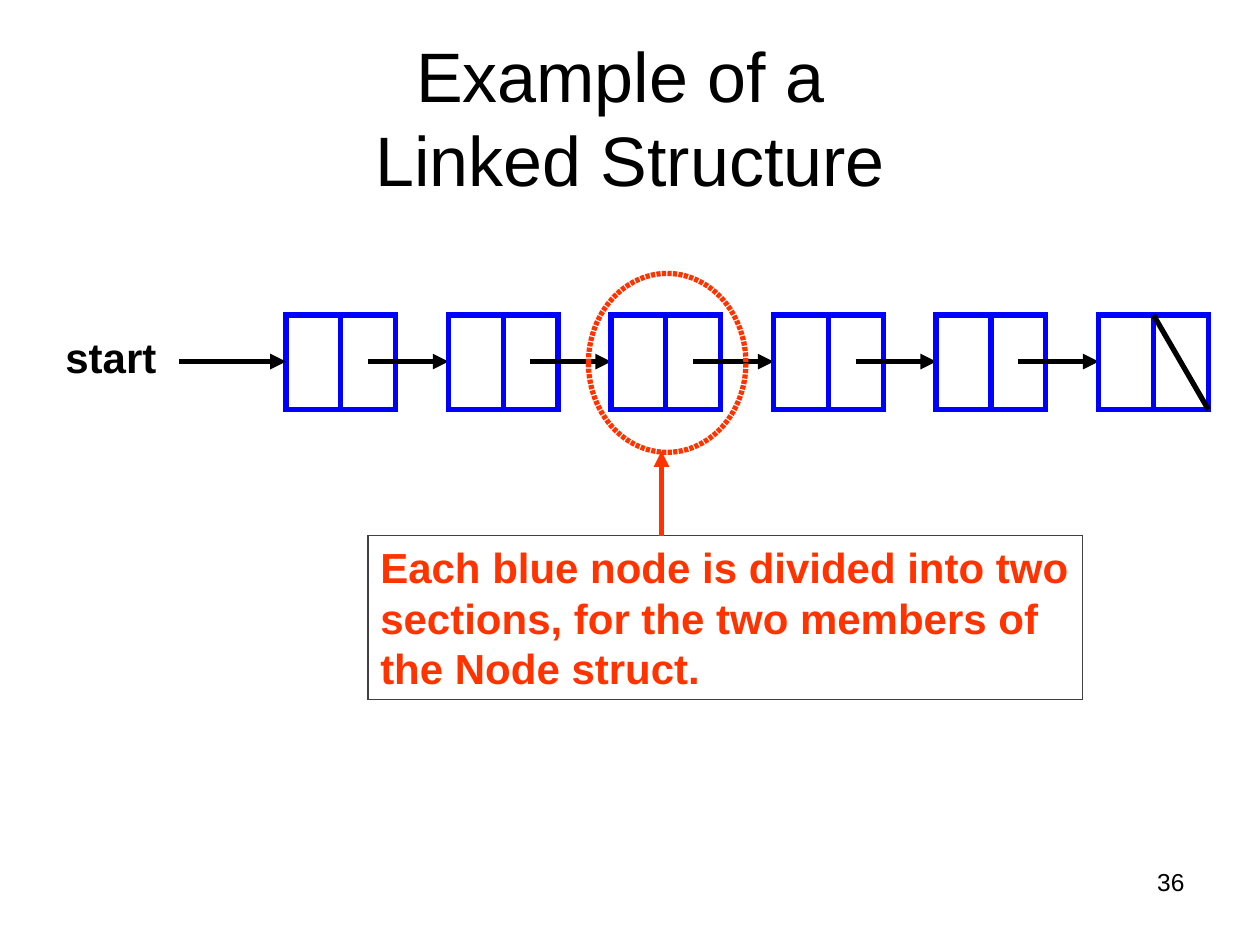
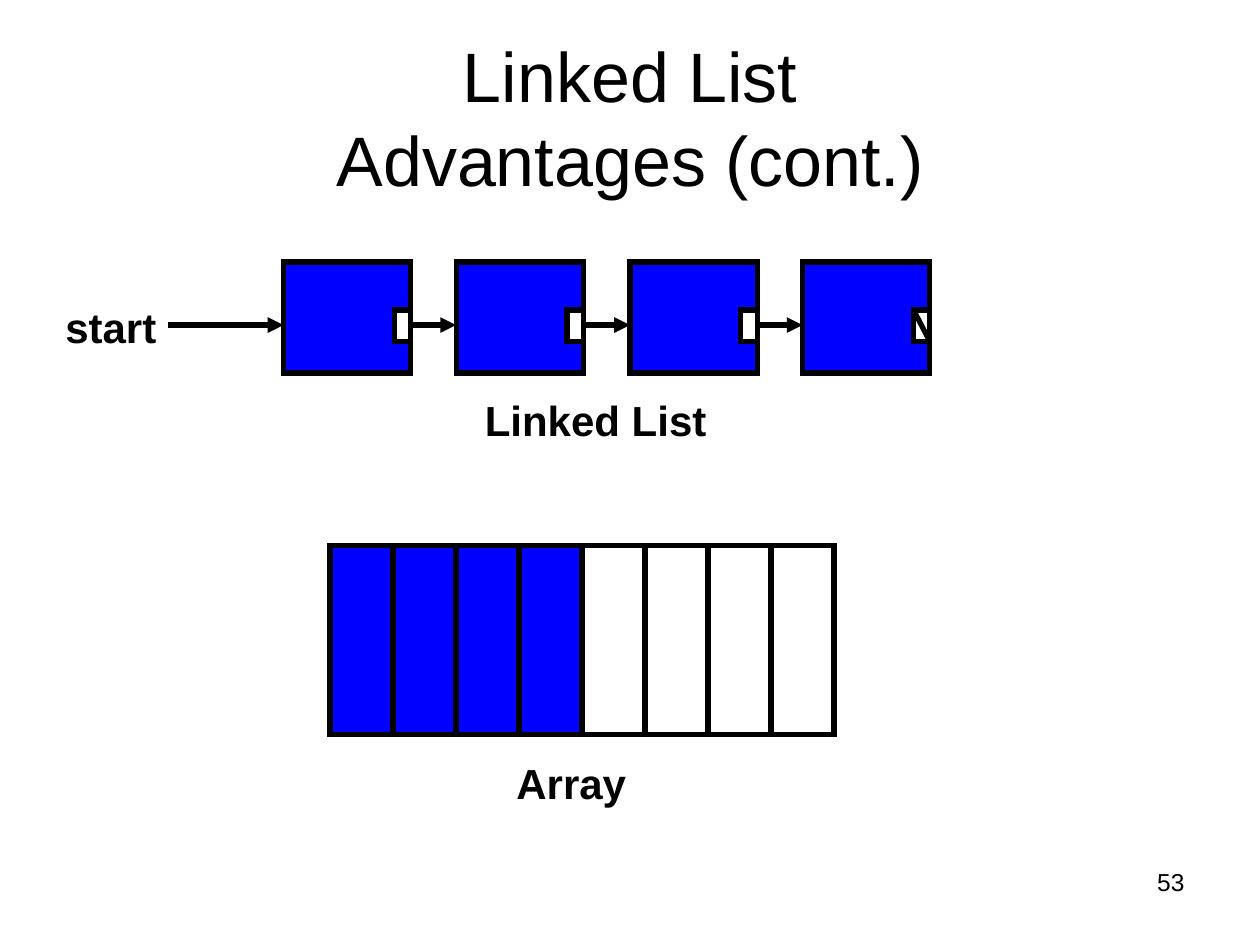
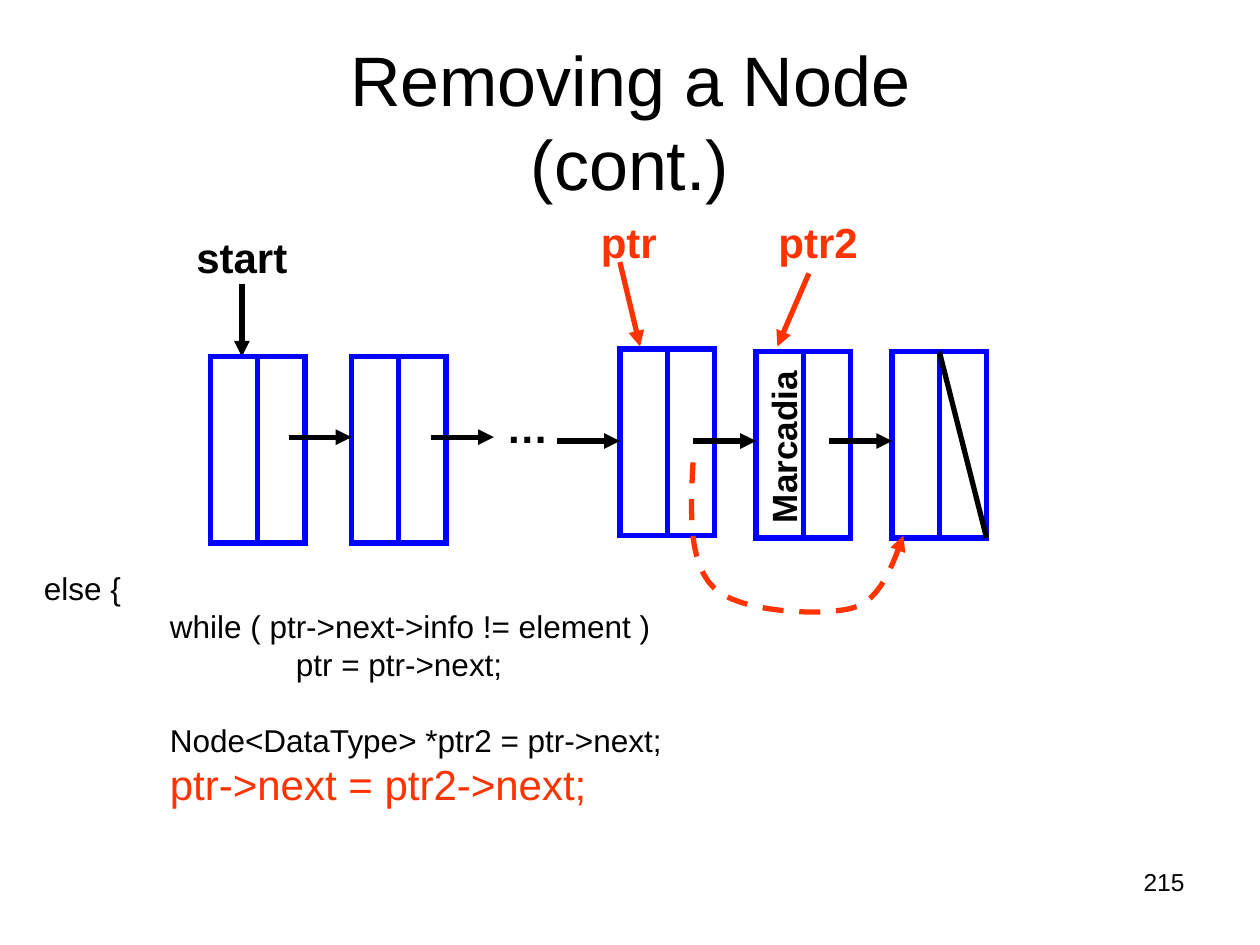
"""Build three lecture slides on linked lists."""
from lxml import etree
from pptx import Presentation
from pptx.dml.color import RGBColor
from pptx.enum.dml import MSO_LINE_DASH_STYLE as Dash
from pptx.enum.shapes import MSO_CONNECTOR as Connector, MSO_SHAPE as Preset
from pptx.enum.text import MSO_ANCHOR as Anchor, MSO_AUTO_SIZE as AutoSize, PP_ALIGN as Align
from pptx.oxml.ns import qn
from pptx.util import Inches, Pt

BLACK = RGBColor(0x00, 0x00, 0x00)
WHITE = RGBColor(0xFF, 0xFF, 0xFF)
BLUE = RGBColor(0x00, 0x00, 0xFF)
RED = RGBColor(0xFF, 0x33, 0x00)
GRAY = RGBColor(0x40, 0x40, 0x40)

TITLE = {"name": "Arial", "size": Pt(40), "bold": False}
LABEL = {"name": "Arial", "size": Pt(24), "bold": True}
VALUE = {"name": "Arial", "size": Pt(20), "bold": True}
CODE = {"name": "Arial", "size": Pt(18)}
KEY_CODE = {"name": "Arial", "size": Pt(24)}
NUMBER = {"name": "Arial", "size": Pt(14)}
TOP_LEFT = {"word_wrap": True, "vertical_anchor": Anchor.TOP, "auto_size": AutoSize.NONE}


def apply_formats(target, formats):
    """Set each named attribute on the target."""
    for name, value in formats.items():
        setattr(target, name, value)


def write(paragraph, text, formats, color=BLACK, align=Align.LEFT):
    """Fill a paragraph with formatted text."""
    paragraph.text = text
    paragraph.alignment = align
    for run in paragraph.runs:
        apply_formats(run.font, formats)
        run.font.color.rgb = color


def add_label(slide, text, place, formats=LABEL, color=BLACK, align=Align.LEFT):
    """Add a text box with one paragraph and return it."""
    label = slide.shapes.add_textbox(*map(Inches, place))
    apply_formats(label.text_frame, TOP_LEFT)
    write(label.text_frame.paragraphs[0], text, formats, color, align)
    return label


def add_titled_slide(deck, title, number, top=0.3):
    """Add a slide with its title and page number."""
    slide = deck.slides.add_slide(deck.slide_layouts[5])
    heading = slide.shapes.title
    apply_formats(heading, {"left": Inches(0.5), "top": Inches(top),
                            "width": Inches(9), "height": Inches(1.25)})
    apply_formats(heading.text_frame, {**TOP_LEFT, "vertical_anchor": Anchor.MIDDLE})
    write(heading.text_frame.paragraphs[0], title, TITLE, align=Align.CENTER)
    add_label(slide, str(number), (7.17, 6.83, 2.33, 0.52), NUMBER, align=Align.RIGHT)
    return slide


def add_outline(slide, place, fill=None, line=BLACK, preset=Preset.RECTANGLE, weight=3):
    """Add a flat, sharp-cornered preset shape, unfilled when no fill is given."""
    outline = slide.shapes.add_shape(preset, *map(Inches, place))
    outline.shadow.inherit = False
    if fill is None:
        outline.fill.background()
    else:
        outline.fill.solid()
        outline.fill.fore_color.rgb = fill
    outline.line.color.rgb = line
    outline.line.width = Pt(weight)
    etree.SubElement(outline.line._get_or_add_ln(), qn("a:miter"), lim="800000")
    return outline


def add_arrowhead(stroke):
    """Put a triangle at the far end of a line."""
    etree.SubElement(stroke.line._get_or_add_ln(), qn("a:tailEnd"), type="triangle")


def add_line(slide, start, end, color=BLACK, arrow=False):
    """Add a straight line, with an arrowhead on request."""
    link = slide.shapes.add_connector(Connector.STRAIGHT, *map(Inches, (*start, *end)))
    link.line.color.rgb = color
    link.line.width = Pt(3)
    if arrow:
        add_arrowhead(link)
    etree.SubElement(link._element.spPr, qn("a:effectLst"))


def add_node(slide, left, top, width, height, last=False):
    """Add a two-part node, with a null slash when it is the last."""
    middle, bottom = left + width / 2, top + height
    add_outline(slide, (left, top, width, height), WHITE, BLUE)
    add_line(slide, (middle, top), (middle, bottom), BLUE)
    if last:
        add_line(slide, (middle, top), (left + width, bottom))


def add_dots(outline):
    """Give an outline a tight dotted stroke."""
    dashes = etree.Element(qn("a:custDash"))
    etree.SubElement(dashes, qn("a:ds"), d="80000", sp="25000")
    outline.line._get_or_add_ln().find(qn("a:miter")).addprevious(dashes)


def add_tab_stops(paragraph, count=2):
    """Set left tab stops one inch apart."""
    stops = etree.SubElement(paragraph._p.get_or_add_pPr(), qn("a:tabLst"))
    for index in range(1, count + 1):
        etree.SubElement(stops, qn("a:tab"), pos=str(Inches(index)), algn="l")


def curve_points(start, control_1, control_2, end, steps=12):
    """Return points along a cubic curve, leaving out its start."""
    return [tuple((1 - t) ** 3 * a + 3 * (1 - t) ** 2 * t * b + 3 * (1 - t) * t * t * c + t ** 3 * d
                  for a, b, c, d in zip(start, control_1, control_2, end))
            for t in (step / steps for step in range(1, steps + 1))]


def add_bypass(slide):
    """Add the dashed curve that skips the removed node."""
    knots = [(5.5, 3.67), (5.48, 4.07), (5.46, 4.47), (5.67, 4.67), (5.87, 4.86),
             (6.5, 4.89), (6.75, 4.83), (7, 4.78), (7.1, 4.43), (7.17, 4.25)]
    points = [point for i in range(0, 9, 3) for point in curve_points(*knots[i:i + 4])]
    builder = slide.shapes.build_freeform(*map(Inches, knots[0]))
    builder.add_line_segments([(Inches(x), Inches(y)) for x, y in points], close=False)
    bypass = builder.convert_to_shape()
    bypass.shadow.inherit = False
    bypass.fill.background()
    bypass.line.color.rgb = RED
    apply_formats(bypass.line, {"width": Pt(3), "dash_style": Dash.DASH})
    add_arrowhead(bypass)


def add_code(slide):
    """Add the listing, with its new statement in red."""
    listing = slide.shapes.add_textbox(*map(Inches, (0.25, 4.47, 6.67, 2)))
    apply_formats(listing.text_frame, TOP_LEFT)
    lines = [
        ("else {", CODE, BLACK, 0),
        ("\twhile ( ptr->next->info != element )", CODE, BLACK, 0),
        ("\t\tptr = ptr->next;", CODE, BLACK, 0),
        ("\tNode<DataType> *ptr2 = ptr->next;", CODE, BLACK, 21.6),
        ("\tptr->next = ptr2->next;", KEY_CODE, RED, 0),
    ]
    for index, (text, formats, color, gap) in enumerate(lines):
        frame = listing.text_frame
        paragraph = frame.add_paragraph() if index else frame.paragraphs[0]
        if gap:
            paragraph.space_before = Pt(gap)
        add_tab_stops(paragraph)
        write(paragraph, text, formats, color)


def build_structure(deck):
    """Build the slide that shows a linked structure."""
    slide = add_titled_slide(deck, "Example of a \vLinked Structure", 36)
    first, step, count, link_y = 2.27, 1.29, 6, 2.87
    for index in range(count):
        left, last = first + index * step, index == count - 1
        add_node(slide, left, 2.5, 0.87, 0.75, last)
        if not last:
            add_line(slide, (left + 0.65, link_y), (left + step, link_y), arrow=True)
    add_line(slide, (1.42, link_y), (first, link_y), arrow=True)
    add_label(slide, "start", (0.42, 2.58, 1.08, 0.5))
    note = add_outline(slide, (2.92, 4.25, 5.67, 1.3), line=GRAY, weight=0.75)
    apply_formats(note.text_frame, TOP_LEFT)
    write(note.text_frame.paragraphs[0],
          "Each blue node is divided into two sections, for the two members of the Node struct.",
          LABEL, RED)
    add_dots(add_outline(slide, (4.67, 2.17, 1.25, 1.42), line=RED, preset=Preset.OVAL))
    add_line(slide, (5.25, 4.25), (5.25, 3.58), RED, arrow=True)


def build_advantages(deck):
    """Build the slide that compares a linked list with an array."""
    slide = add_titled_slide(deck, "Linked List\vAdvantages (cont.)", 53)
    node_lefts, link_y = (2.25, 3.62, 5, 6.37), 2.58
    add_label(slide, "start", (0.42, 2.34, 1.17, 0.37))
    for left in node_lefts:
        add_outline(slide, (left, 2.08, 1.01, 0.88), BLUE)
        add_outline(slide, (left + 0.88, 2.46, 0.13, 0.25), WHITE)
    for tail, head in zip((1.33, *(left + 1 for left in node_lefts)), node_lefts):
        add_line(slide, (tail, link_y), (head, link_y), arrow=True)
    add_line(slide, (7.25, 2.46), (7.38, 2.71))
    add_label(slide, "Linked List", (3.75, 3.08, 2.5, 0.37))
    for index in range(8):
        add_outline(slide, (2.62 + index * 0.5, 4.33, 0.5, 1.5), BLUE if index < 4 else WHITE)
    add_label(slide, "Array", (4, 5.96, 1.13, 0.5))


def build_removal(deck):
    """Build the slide that removes a node."""
    slide = add_titled_slide(deck, "Removing a Node\v(cont.)", 215, top=0.33)
    add_label(slide, "start", (1.46, 1.79, 2.04, 0.37))
    add_code(slide)
    add_label(slide, "ptr", (4.67, 1.67, 1.42, 0.5), color=RED)
    add_label(slide, "ptr2", (6.08, 1.67, 1.17, 0.5), color=RED)
    add_line(slide, (4.92, 2.08), (5.08, 2.75), RED, arrow=True)
    add_line(slide, (6.42, 2.17), (6.17, 2.75), RED, arrow=True)
    add_line(slide, (1.92, 2.25), (1.92, 2.83), arrow=True)
    for left, top in ((1.67, 2.83), (2.79, 2.83), (4.92, 2.77), (6, 2.79), (7.08, 2.79)):
        add_node(slide, left, top, 0.75, 1.48, last=left == 7.08)
    for left, link_y in ((2.29, 3.47), (3.42, 3.47), (4.42, 3.5), (5.5, 3.5), (6.58, 3.5)):
        add_line(slide, (left, link_y), (left + 0.5, link_y), arrow=True)
    add_label(slide, "…", (3.92, 3.14, 0.63, 0.85))
    add_label(slide, "Marcadia", (5.43, 3.24, 1.58, 0.44), VALUE).rotation = 270
    add_bypass(slide)


def main():
    """Build and save the deck."""
    deck = Presentation()
    apply_formats(deck, {"slide_width": Inches(10), "slide_height": Inches(7.5)})
    for build in (build_structure, build_advantages, build_removal):
        build(deck)
    deck.save("out.pptx")


if __name__ == "__main__":
    main()
